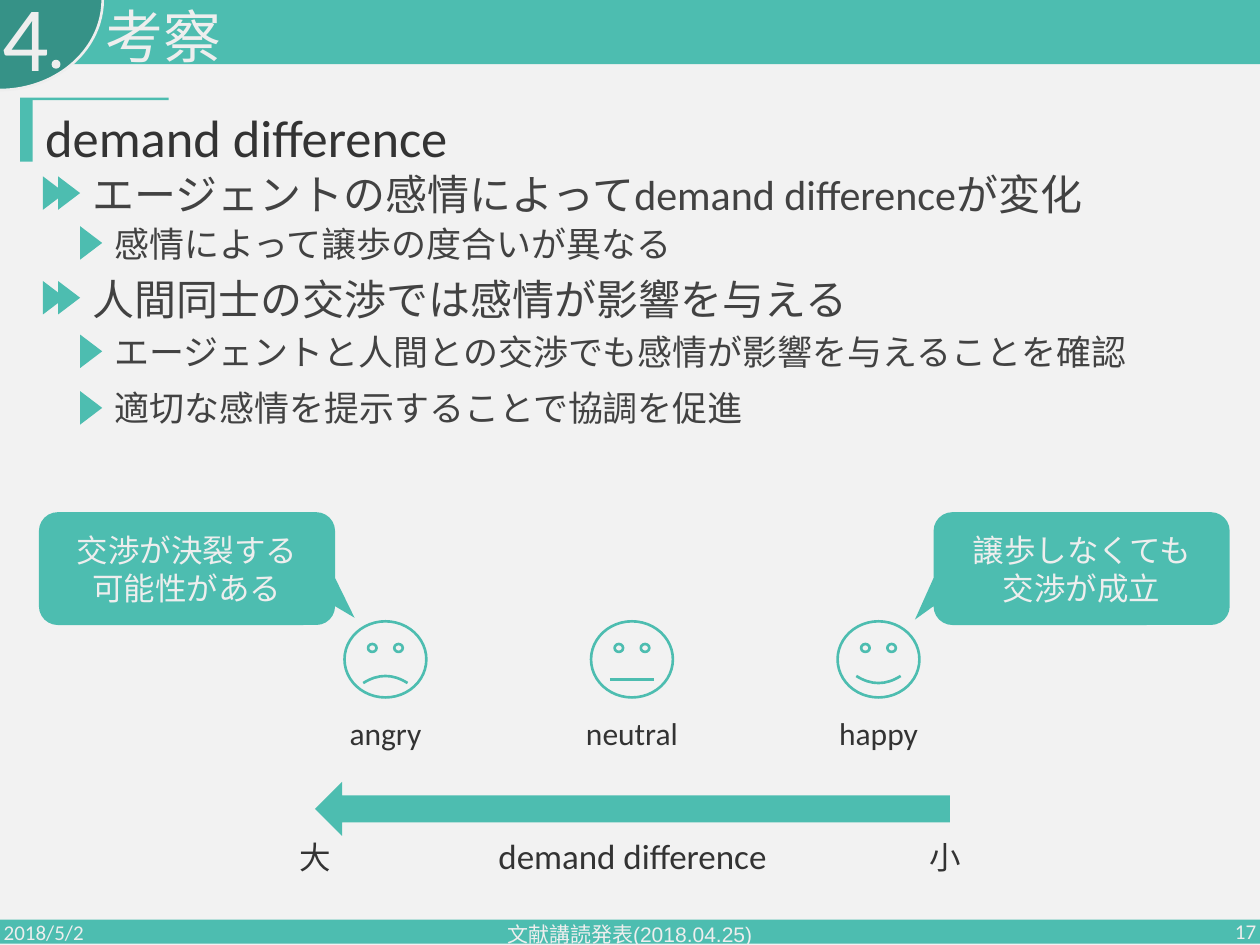
from pptx import Presentation
from pptx.dml.color import RGBColor
from pptx.enum.shapes import MSO_SHAPE as Kind
from pptx.enum.text import MSO_ANCHOR as Anchor, MSO_AUTO_SIZE as Fit, PP_ALIGN as Align
from pptx.util import Cm, Pt

COLORS = {"teal": "4DBDB0", "deep": "369287", "pale": "EEEEEE",
          "back": "F2F2F2", "dark": "333333", "body": "424242"}
WIDE, HIGH = 50.8, 38.1

TITLE = "考察"
NUMBER = "4"
HEADING = "demand difference"

# level, top, text
POINTS = [
    (0, 6.91, "エージェントの感情によってdemand differenceが変化"),
    (1, 9.02, "感情によって譲歩の度合いが異なる"),
    (0, 11.13, "人間同士の交渉では感情が影響を与える"),
    (1, 13.39, "エージェントと人間との交渉でも感情が影響を与えることを確認"),
    (1, 15.67, "適切な感情を提示することで協調を促進"),
]
# text left, text width, text height, size, marker lefts, marker drop
LEVELS = [
    (3.48, 46.2, 2.77, 48, (1.5, 2.11), 0.43),
    (4.37, 44.83, 2.36, 40, (3.0,), 0.33),
]
# label, mouth curve
MOODS = [("angry", -0.047), ("neutral", 0), ("happy", 0.047)]
# left, pointer, text
CALLOUTS = [
    (1.57, (0.566, 0.436), "交渉が決裂する\n可能性がある"),
    (37.64, (-0.563, 0.452), "譲歩しなくても\n交渉が成立"),
]
# center, top, width, height, size, text
SCALE = [
    (12.7, 33.66, 5.72, 1.8, 36, "大"),
    (25.5, 33.53, 13.49, 1.96, 40, "demand difference"),
    (38.1, 33.66, 5.72, 1.8, 36, "小"),
]
# left, top, width, font, alignment, text
FOOTER = [
    (-0.1, 36.55, 11.43, "Calibri", Align.LEFT, "2018/5/2"),
    (16.81, 36.63, 17.15, "Arial", Align.CENTER, "文献講読発表(2018.04.25)"),
    (39.47, 36.53, 11.43, "Calibri", Align.RIGHT, "17"),
]


def rgb(name):
    return RGBColor.from_string(COLORS[name])


def write(shape, text, size, color, align=Align.LEFT, font="Calibri",
          anchor=Anchor.TOP, tight=False, fit=Fit.NONE):
    """Fill a shape with formatted text; tight sets the outline line spacing."""
    frame = shape.text_frame
    frame.text = text
    frame.word_wrap = True
    frame.auto_size = fit
    frame.vertical_anchor = anchor
    for para in frame.paragraphs:
        para.alignment = align
        if tight:
            para.line_spacing = 0.9
            para.space_before = Pt(20)
        for run in para.runs:
            run.font.size = Pt(size)
            run.font.name = font
            run.font.color.rgb = rgb(color)


def draw(kind, x, y, w, h, fill="teal", line=None, turn=0, adjust=()):
    shape = slide.shapes.add_shape(kind, Cm(x), Cm(y), Cm(w), Cm(h))
    shape.shadow.inherit = False
    shape.rotation = turn
    if fill:
        shape.fill.solid()
        shape.fill.fore_color.rgb = rgb(fill)
    else:
        shape.fill.background()
    if line:
        shape.line.color.rgb = rgb(line)
        shape.line.width = Pt(3)
    else:
        shape.line.fill.background()
    for i, value in enumerate(adjust):
        shape.adjustments[i] = value
    return shape


def label(x, y, w, h, *args, **style):
    box = slide.shapes.add_textbox(Cm(x), Cm(y), Cm(w), Cm(h))
    write(box, *args, **style)


def caption(mid, y, w, h, size, text):
    label(mid - w / 2, y, w, h, text, size, "dark",
          align=Align.CENTER, fit=Fit.SHAPE_TO_FIT_TEXT)


deck = Presentation()
deck.slide_width, deck.slide_height = Cm(WIDE), Cm(HIGH)
slide = deck.slides.add_slide(deck.slide_layouts[5])
slide.background.fill.solid()
slide.background.fill.fore_color.rgb = rgb("back")

# Frame: bars, corner badge, title and footer
draw(Kind.RECTANGLE, 0, 37.08, WIDE, 0.97)
draw(Kind.RECTANGLE, 0, 0, WIDE, 2.59)
draw(Kind.ARC, -3.66, -4.17, 7.29, 8.31, "deep", "pale", turn=90)
draw(Kind.OVAL, 2.08, 2.41, 0.36, 0.36, "pale")
for x, y, w, font, align, text in FOOTER:
    label(x, y, w, 2.03, text, 24, "pale", align, font, Anchor.MIDDLE)
label(-0.15, -0.43, 17.91, 3.94, NUMBER, 105, "pale", tight=True)

title = slide.shapes.title
title.left, title.top, title.width, title.height = Cm(4.01), Cm(0.2), Cm(37), Cm(2.21)
write(title, TITLE, 66, "pale", tight=True)
tree = slide.shapes._spTree
tree.remove(title._element)
tree.append(title._element)  # bring the title in front of the header bar

# Heading and points
draw(Kind.RECTANGLE, 0.81, 4.01, 0.51, 2.51)
draw(Kind.RECTANGLE, 0.81, 3.94, 5.99, 0.1)
label(1.57, 4.39, 48.06, 3.89, HEADING, 60, "dark", tight=True)
for level, top, text in POINTS:
    left, w, h, size, marks, drop = LEVELS[level]
    for x in marks:
        draw(Kind.ISOSCELES_TRIANGLE, x, top + drop, 1.35, 0.89, turn=90)
    label(left, top, w, h, text, size, "body", tight=True)

# Moods, scale and callouts
for i, (mood, curve) in enumerate(MOODS):
    mid = 15.54 + 9.94 * i
    draw(Kind.SMILEY_FACE, mid - 1.65, 25.05, 3.3, 3.07, None, "teal", adjust=[curve])
    caption(mid, 28.68, 5.72, 1.8, 36, mood)
draw(Kind.LEFT_ARROW, 12.7, 31.52, 25.6, 2.18)
for item in SCALE:
    caption(*item)
for x, tip, text in CALLOUTS:
    bubble = draw(Kind.ROUNDED_RECTANGULAR_CALLOUT, x, 20.65, 11.94, 4.55, adjust=tip)
    write(bubble, text, 36, "pale", Align.CENTER, anchor=Anchor.MIDDLE)

deck.save("out.pptx")
